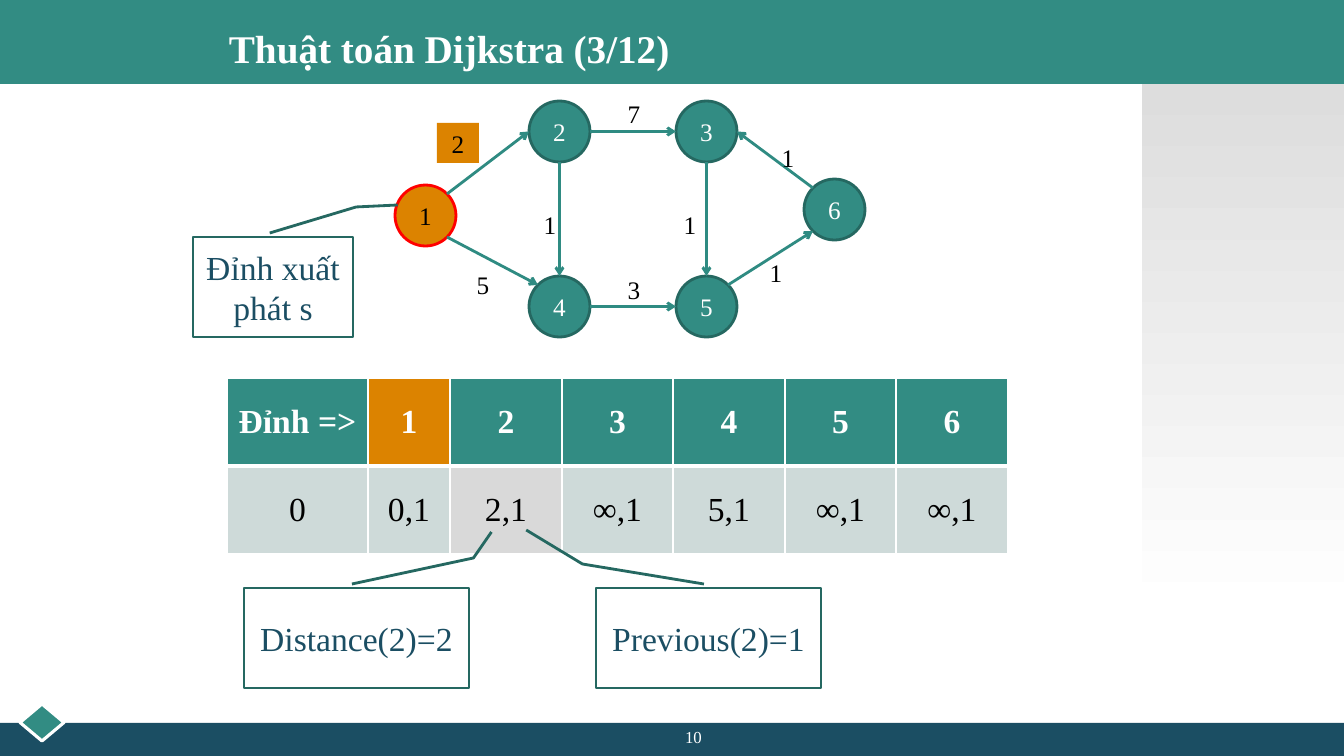
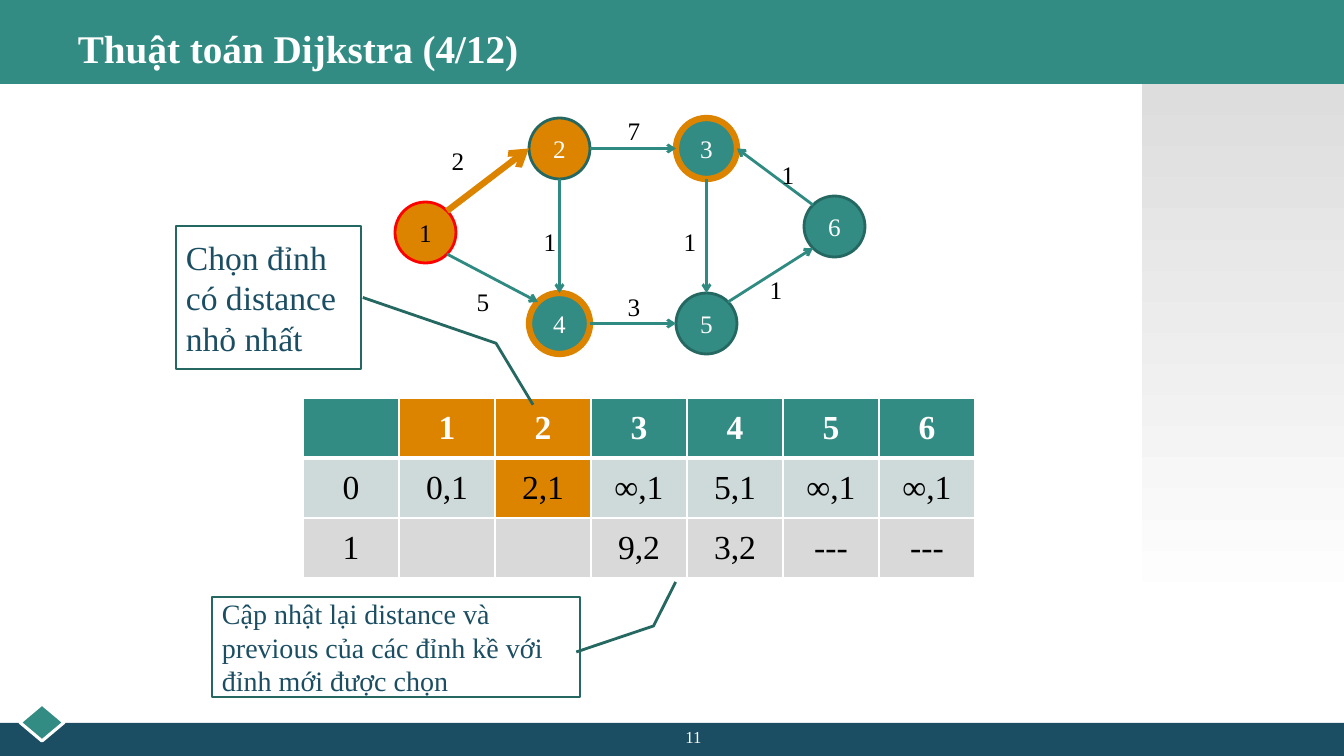
from dataclasses import dataclass

from lxml import etree
from pptx import Presentation
from pptx.dml.color import RGBColor
from pptx.enum.shapes import MSO_CONNECTOR, MSO_SHAPE
from pptx.enum.text import MSO_ANCHOR, PP_ALIGN
from pptx.oxml.ns import qn
from pptx.util import Emu, Pt

RECT, OVAL = MSO_SHAPE.RECTANGLE, MSO_SHAPE.OVAL
DIAMOND, CALLOUT = MSO_SHAPE.DIAMOND, MSO_SHAPE.LINE_CALLOUT_2
STRAIGHT = MSO_CONNECTOR.STRAIGHT
LEFT, CENTER = PP_ALIGN.LEFT, PP_ALIGN.CENTER
TOP, MIDDLE = MSO_ANCHOR.TOP, MSO_ANCHOR.MIDDLE

WIDE, HIGH = 1344, 756
SCALE = 12192000 / WIDE


@dataclass(frozen=True)
class Theme:
    font: str = "Times New Roman"
    teal: str = "328C83"
    edge: str = "2F8B82"
    rim: str = "256861"
    navy: str = "1B4E63"
    hot: str = "DC8300"
    red: str = "FF0000"
    white: str = "FFFFFF"
    black: str = "000000"
    mist: str = "CEDAD9"
    gray: str = "D9D9D9"
    shade: str = "DDDDDD"
    title: int = 28
    body: int = 24
    note: int = 20
    label: int = 18
    page: int = 12
    thin: float = 2
    thick: float = 4.5


T = Theme()

# Graph: node corners, edges with compass ends, weights with label corners
SIZE = 61
NODES = {"1": (395, 185), "2": (529, 101), "3": (676, 101),
         "6": (804, 179), "5": (676, 276), "4": (529, 276)}
EDGES = [("1", "ne", "2", "w"), ("1", "se", "4", "nw"),
         ("2", "s", "4", "n"), ("2", "e", "3", "w"),
         ("3", "s", "5", "n"), ("4", "e", "5", "w"),
         ("5", "ne", "6", "sw"), ("6", "nw", "3", "e")]
COSTS = [("2", 437, 123), ("1", 529, 204), ("5", 462, 264), ("7", 613, 93),
         ("1", 767, 137), ("1", 669, 204), ("3", 613, 269), ("1", 755, 252)]
START = {"fill": T.hot, "line": T.red, "ink": T.black}
NEAR = {"line": T.hot, "width": T.thick}

# Slide content
SLIDES = [
    {"title": "Thuật toán Dijkstra (3/12)", "left": 219, "span": 907,
     "page": "10", "drop": 0, "nodes": {"1": START},
     "edges": [], "costs": [0],
     "table": {"at": (227, 378), "row": 88,
               "cols": [141, 82, 112, 111, 112, 111, 112],
               "rows": [["Đỉnh =>", "1", "2", "3", "4", "5", "6"],
                        ["0", "0,1", "2,1", "∞,1", "5,1", "∞,1", "∞,1"]],
               "fills": {(0, 1): T.hot, (1, 2): T.gray}},
     "notes": [
         ("Đỉnh xuất phát s", (193, 237, 160, 100), T.body, CENTER,
          (-0.04, 0.48, -0.3, 1.02, -0.32, 1.28)),
         ("Distance(2)=2", (244, 588, 225, 100), T.body, CENTER,
          (-0.04, 0.48, -0.3, 1.02, -0.56, 1.1)),
         ("Previous(2)=1", (596, 588, 225, 100), T.body, CENTER,
          (-0.04, 0.48, -0.24, -0.06, -0.58, -0.31))]},
    {"title": "Thuật toán Dijkstra (4/12)", "left": 68, "span": 1210,
     "page": "11", "drop": 17,
     "nodes": {"1": START, "2": {"fill": T.hot}, "3": NEAR, "4": NEAR},
     "edges": [0], "costs": [],
     "table": {"at": (303, 398), "row": 60, "cols": [96] * 7,
               "rows": [["", "1", "2", "3", "4", "5", "6"],
                        ["0", "0,1", "2,1", "∞,1", "5,1", "∞,1", "∞,1"],
                        ["1", "", "", "9,2", "3,2", "---", "---"]],
               "fills": {(0, 1): T.hot, (0, 2): T.hot, (1, 2): T.hot}},
     "notes": [
         ("Chọn đỉnh có distance nhỏ nhất", (176, 226, 185, 143), T.body, LEFT,
          (0.5, 1.01, 0.82, 1.73, 1.25, 1.93)),
         ("Cập nhật lại distance và previous của các đỉnh kề với đỉnh mới "
          "được chọn", (212, 597, 368, 100), T.note, LEFT,
          (0.55, 0.99, 0.29, 1.2, -0.15, 1.26))]},
]


def px(*vals):
    return [Emu(round(v * SCALE)) for v in vals]


def rgb(code):
    return RGBColor.from_string(code)


def write(frame, text, size, ink, bold=False, align=LEFT, anchor=MIDDLE):
    frame.word_wrap = True
    frame.vertical_anchor = anchor
    para = frame.paragraphs[0]
    para.alignment = align
    if not text:
        return
    run = para.add_run()
    run.text = text
    form = {"name": T.font, "size": Pt(size), "bold": bold}
    for key, val in form.items():
        setattr(run.font, key, val)
    run.font.color.rgb = rgb(ink)


def draw(slide, kind, box, fill=None, line=None, width=T.thin, adj=()):
    shape = slide.shapes.add_shape(kind, *px(*box))
    shape.shadow.inherit = False
    for part, code in ((shape.fill, fill), (shape.line.fill, line)):
        if code:
            part.solid()
            part.fore_color.rgb = rgb(code)
        else:
            part.background()
    if line:
        shape.line.width = Pt(width)
    for i, val in enumerate(adj):
        shape.adjustments[i] = val
    return shape


def label(slide, box, *args, fill=None, **form):
    area = slide.shapes.add_textbox(*px(*box))
    if fill:
        area.fill.solid()
        area.fill.fore_color.rgb = rgb(fill)
    write(area.text_frame, *args, **form)


def frame(slide, data):
    # Bands, corner diamond and side panel
    draw(slide, RECT, (0, 0, WIDE, 84), T.teal)
    draw(slide, RECT, (0, 723, WIDE, 33), T.navy)
    draw(slide, DIAMOND, (20, 704, 44, 37), T.teal, T.white, 2.25)
    panel = draw(slide, RECT, (1142, 84, 202, 529), T.shade)
    panel.fill.gradient()
    panel.fill.gradient_angle = 270
    for stop, code in zip(panel.fill.gradient_stops, (T.shade, T.white)):
        stop.color.rgb = rgb(code)
    # Title and page number
    label(slide, (data["left"], 17, data["span"], 62), data["title"],
          T.title, T.white, bold=True)
    label(slide, (537, 722, 313, 26), data["page"], T.page, T.white,
          align=CENTER, anchor=TOP)


def border(cell, sides):
    props = cell._tc.get_or_add_tcPr()
    for i, (side, width) in enumerate(sides.items()):
        line = etree.Element(qn("a:ln" + side), w=str(Pt(width)))
        fill = etree.SubElement(line, qn("a:solidFill"))
        etree.SubElement(fill, qn("a:srgbClr"), val=T.white)
        props.insert(i, line)


def grid(slide, data):
    rows, cols = data["rows"], data["cols"]
    box = (*data["at"], sum(cols), data["row"] * len(rows))
    table = slide.shapes.add_table(len(rows), len(cols), *px(*box)).table
    for col, width in zip(table.columns, px(*cols)):
        col.width = width
    base = (T.teal, T.mist, T.gray)
    for r, row in enumerate(rows):
        table.rows[r].height = px(data["row"])[0]
        for c, text in enumerate(row):
            cell = table.cell(r, c)
            cell.fill.solid()
            cell.fill.fore_color.rgb = rgb(data["fills"].get((r, c), base[r]))
            cell.vertical_anchor = MIDDLE
            head = r == 0
            write(cell.text_frame, text, T.body, T.white if head else T.black,
                  bold=head, align=CENTER)
            border(cell, {"L": 1, "R": 1, "T": 3 if r == 1 else 1,
                          "B": 3 if head else 1})


def rim(node, side, drop):
    x, y = NODES[node]
    reach = SIZE / 2 * (0.5 ** 0.5 if len(side) == 2 else 1)
    return (x + SIZE / 2 + reach * (("e" in side) - ("w" in side)),
            y + drop + SIZE / 2 + reach * (("s" in side) - ("n" in side)))


def arrow(slide, start, end, code, width):
    link = slide.shapes.add_connector(STRAIGHT, *px(*start, *end))
    link.line.color.rgb = rgb(code)
    link.line.width = Pt(width)
    props = link._element.spPr
    etree.SubElement(props.find(qn("a:ln")), qn("a:tailEnd"), type="arrow")
    etree.SubElement(props, qn("a:effectLst"))


def graph(slide, data):
    drop = data["drop"]
    for name, (x, y) in NODES.items():
        look = {"fill": T.teal, "line": T.rim, "ink": T.white,
                **data["nodes"].get(name, {})}
        ink = look.pop("ink")
        node = draw(slide, OVAL, (x, y + drop, SIZE, SIZE), **look)
        write(node.text_frame, name, T.label, ink, align=CENTER)
    for i, (a, out, b, into) in enumerate(EDGES):
        look = (T.hot, T.thick) if i in data["edges"] else (T.edge, T.thin)
        arrow(slide, rim(a, out, drop), rim(b, into, drop), *look)
    for i, (cost, x, y) in enumerate(COSTS):
        label(slide, (x, y + drop, 42, 40), cost, T.label, T.black,
              align=CENTER, anchor=TOP,
              fill=T.hot if i in data["costs"] else None)


def main():
    deck = Presentation()
    deck.slide_width, deck.slide_height = px(WIDE, HIGH)
    for data in SLIDES:
        slide = deck.slides.add_slide(deck.slide_layouts[6])
        frame(slide, data)
        grid(slide, data["table"])
        graph(slide, data)
        # Callouts
        for text, box, size, align, adj in data["notes"]:
            note = draw(slide, CALLOUT, box, line=T.rim, adj=adj)
            write(note.text_frame, text, size, T.navy, align=align)
    deck.save("out.pptx")


if __name__ == "__main__":
    main()
